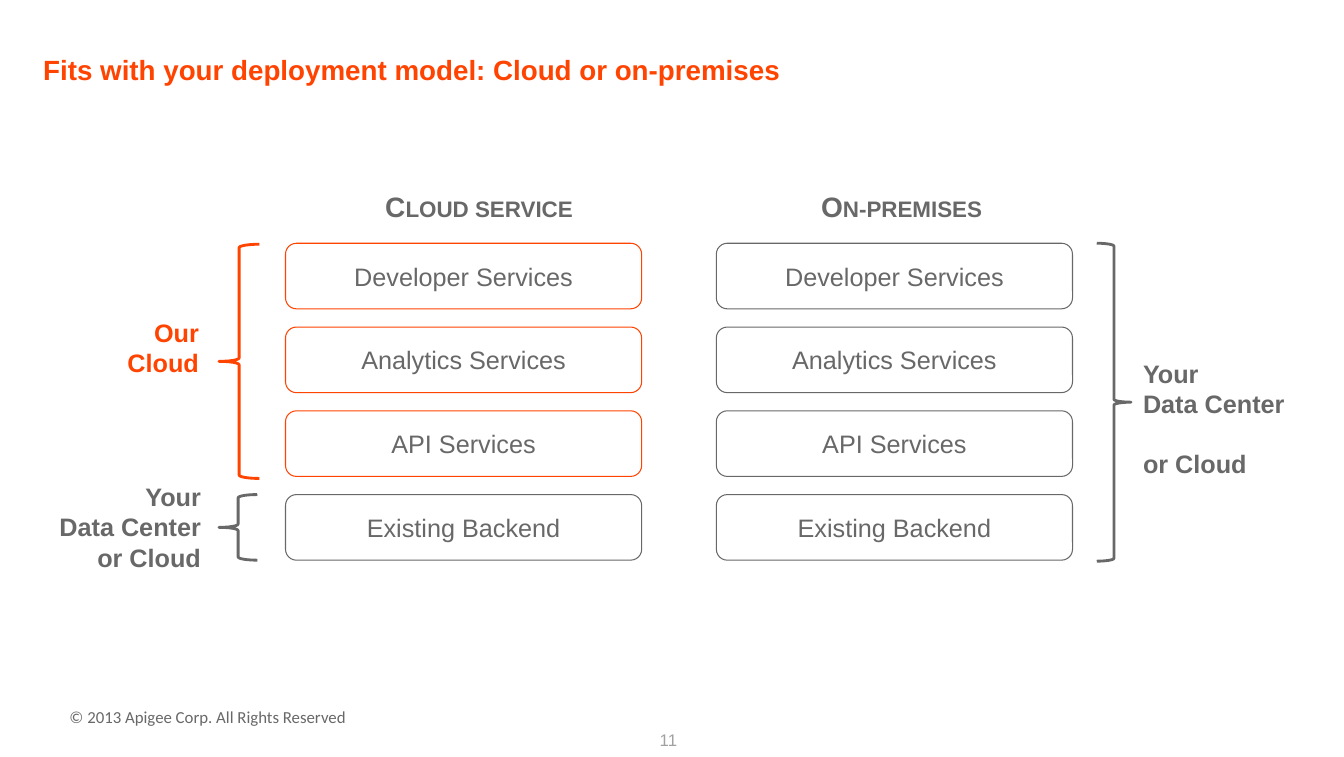
import pptx
import pptx.util
import pptx.dml.color
import pptx.enum.shapes
import pptx.enum.text

Inches, Pt = pptx.util.Inches, pptx.util.Pt
RGBColor = pptx.dml.color.RGBColor
SHAPES = pptx.enum.shapes.MSO_SHAPE
ALIGN = pptx.enum.text.PP_ALIGN
ANCHOR = pptx.enum.text.MSO_ANCHOR
AUTO_SIZE = pptx.enum.text.MSO_AUTO_SIZE

ORANGE = RGBColor(0xFF, 0x43, 0x00)
GRAY = RGBColor(0x68, 0x68, 0x68)
LIGHT_GRAY = RGBColor(0xA1, 0xA1, 0xA1)

SERVICES = ["Developer Services", "Analytics Services", "API Services", "Existing Backend"]
STACK_TOP, ROW_HEIGHT, ROW_PITCH = 2.41, 0.65, 0.83
STACK_WIDTH = 3.53
CLOUD_LEFT, PREMISES_LEFT = 2.83, 7.1


def write(shape, text, size=18, color=GRAY, font="Arial", bold=False, align=ALIGN.LEFT,
          anchor=ANCHOR.TOP, wrap=True, small_caps=False, last_gap=0):
    """Fill a shape with one paragraph per line; last_gap is the space before the last."""
    frame = shape.text_frame
    frame.word_wrap = wrap
    frame.vertical_anchor = anchor
    frame.auto_size = AUTO_SIZE.NONE if wrap else AUTO_SIZE.SHAPE_TO_FIT_TEXT
    lines = text.split("\n")
    for index, line in enumerate(lines):
        paragraph = frame.add_paragraph() if index else frame.paragraphs[0]
        paragraph.alignment = align
        if last_gap and index == len(lines) - 1:
            paragraph.space_before = Pt(last_gap)
        run = paragraph.add_run()
        run.text = line
        run.font.name, run.font.size, run.font.bold = font, Pt(size), bold
        run.font.color.rgb = color
        if small_caps:
            run._r.get_or_add_rPr().set("cap", "small")


def add_text(slide, box, text, **style):
    write(slide.shapes.add_textbox(*map(Inches, box)), text, **style)


def add_outline(slide, kind, box, color, weight):
    shape = slide.shapes.add_shape(kind, *map(Inches, box))
    shape.shadow.inherit = False
    shape.fill.background()
    shape.line.color.rgb = color
    shape.line.width = Pt(weight)
    return shape


def add_stack(slide, left, heading, heading_offset, heading_width, colors):
    """A headed column of service boxes, one outline colour per row."""
    add_text(slide, (left + heading_offset, STACK_TOP - 0.58, heading_width, 0.44), heading,
             size=20, bold=True, wrap=False, small_caps=True)
    for row, (service, color) in enumerate(zip(SERVICES, colors)):
        box = (left, STACK_TOP + row * ROW_PITCH, STACK_WIDTH, ROW_HEIGHT)
        shape = add_outline(slide, SHAPES.ROUNDED_RECTANGLE, box, color, 0.75)
        write(shape, service, align=ALIGN.CENTER, anchor=ANCHOR.MIDDLE)


def add_owner(slide, kind, brace_box, label_box, label, color=GRAY, **style):
    """A brace around some rows and the name of who hosts them."""
    add_outline(slide, kind, brace_box, color, 2)
    add_text(slide, label_box, label, color=color, bold=True, **style)


def add_frame(slide):
    """Title, copyright line and slide number."""
    add_text(slide, (0.33, 0.49, 11.19, 0.4),
             "Fits with your deployment model: Cloud or on-premises",
             size=19.8, color=ORANGE, bold=True, anchor=ANCHOR.MIDDLE)
    add_text(slide, (0.59, 6.95, 2.98, 0.3), "© 2013 Apigee Corp. All Rights Reserved",
             size=12, font="Calibri", wrap=False)
    add_text(slide, (5.07, 7.13, 3.11, 0.4), "11", size=12, color=LIGHT_GRAY,
             align=ALIGN.CENTER, anchor=ANCHOR.MIDDLE)


def main():
    presentation = pptx.Presentation()
    presentation.slide_width, presentation.slide_height = Inches(13.32), Inches(7.5)
    slide = presentation.slides.add_slide(presentation.slide_layouts[6])

    add_frame(slide)
    add_stack(slide, CLOUD_LEFT, "Cloud service", 0.89, 2.1, [ORANGE] * 3 + [GRAY])
    add_stack(slide, PREMISES_LEFT, "On-premises", 0.94, 1.84, [GRAY] * 4)

    backend_top = STACK_TOP + 3 * ROW_PITCH
    add_owner(slide, SHAPES.LEFT_BRACE, (2.17, STACK_TOP + 0.01, 0.4, 2.32),
              (0.48, 3.09, 1.59, 0.71), "Our\nCloud", color=ORANGE, align=ALIGN.RIGHT)
    add_owner(slide, SHAPES.LEFT_BRACE, (2.17, backend_top, 0.38, ROW_HEIGHT),
              (0.47, 4.72, 1.62, 1.01), "Your\nData Center\nor Cloud",
              align=ALIGN.RIGHT, wrap=False)
    add_owner(slide, SHAPES.RIGHT_BRACE, (10.87, STACK_TOP, 0.34, 3.15),
              (11.23, 3.5, 1.62, 1.3), "Your\nData Center\nor Cloud",
              wrap=False, last_gap=21)

    presentation.save("out.pptx")


if __name__ == "__main__":
    main()
